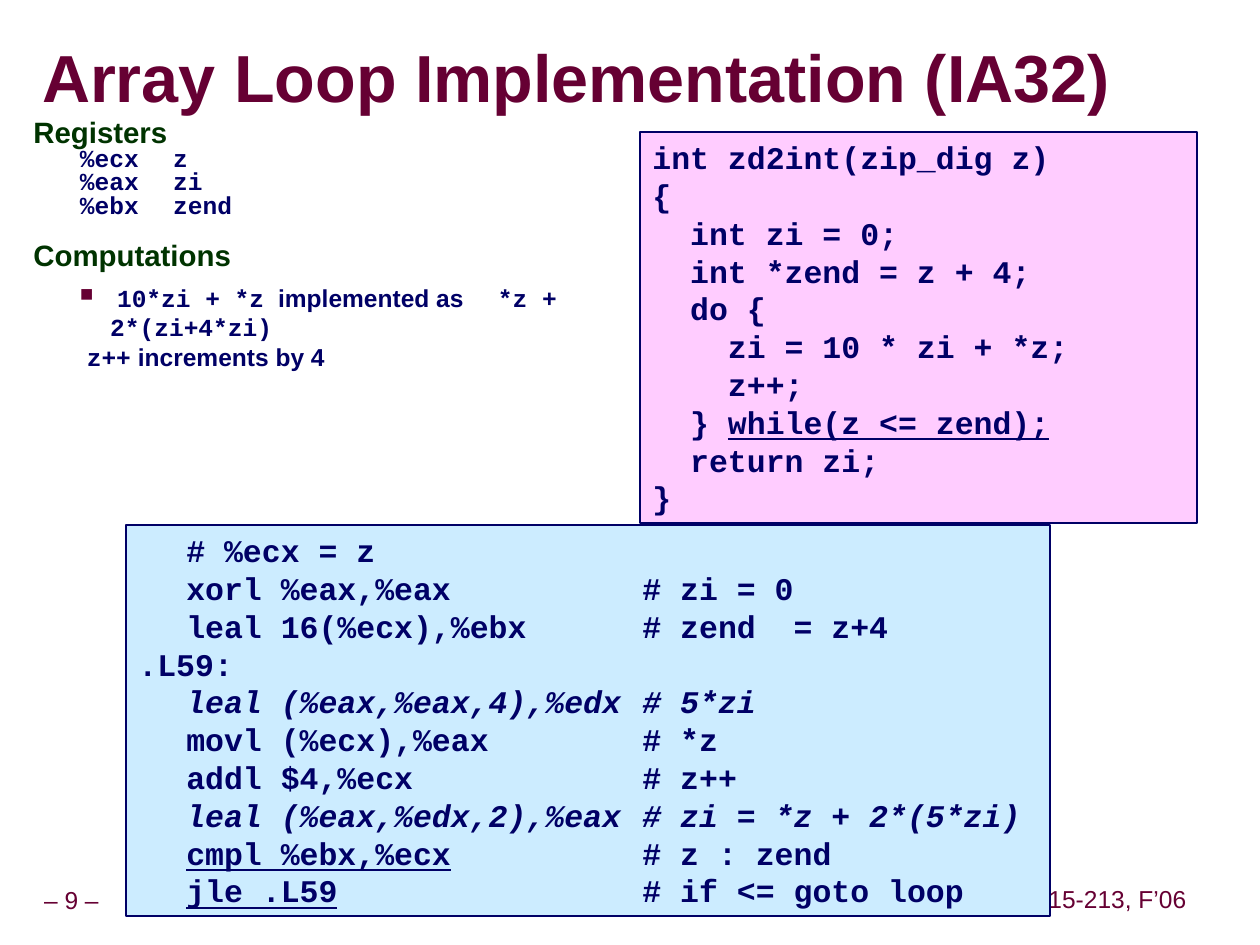
from lxml import etree
from pptx import Presentation
from pptx import util as u
from pptx.dml.color import RGBColor
from pptx.enum import shapes, text
from pptx.oxml.ns import qn

MAROON = RGBColor(0x66, 0x00, 0x33)
GREEN = RGBColor(0x00, 0x33, 0x00)
NAVY = RGBColor(0x00, 0x00, 0x66)
SKY = RGBColor(0xCC, 0xEC, 0xFF)
PINK = RGBColor(0xFF, 0xCC, 0xFF)
WHITE = RGBColor(0xFF, 0xFF, 0xFF)
SANS, MONO = "Arial", "Courier New"
PX_PER_INCH = 126
INSET = 0.05

ASSEMBLY = [
    [("\t# %ecx = z", "")],
    [("\txorl %eax,%eax\t# zi = 0", "")],
    [("\tleal 16(%ecx),%ebx\t# zend  = z+4", "")],
    [(".L59:", "")],
    [("\tleal (%eax,%eax,4),%edx\t# 5*zi", "italic")],
    [("\tmovl (%ecx),%eax\t# *z", "")],
    [("\taddl $4,%ecx\t# z++", "")],
    [("\tleal (%eax,%edx,2),%eax\t# zi = *z + 2*(5*zi)", "italic")],
    [("\t", ""), ("cmpl %ebx,%ecx", "underline"), ("\t# z : zend", "")],
    [("\t", ""), ("jle .L59", "underline"), ("\t# if <= goto loop", "")],
]
C_CODE = [
    [("int zd2int(zip_dig z)", "")],
    [("{", "")],
    [("  int zi = 0;", "")],
    [("  int *zend = z + 4;", "")],
    [("  do {", "")],
    [("    zi = 10 * zi + *z;", "")],
    [("    z++;", "")],
    [("  } ", ""), ("while(z <= zend);", "underline")],
    [("  return zi;", "")],
    [("}", "")],
]
REGISTERS = [("%ecx", "z"), ("%eax", "zi"), ("%ebx", "zend")]


def px(length):
    return u.Emu(round(length * 914400 / PX_PER_INCH))


def place(shape, box):
    shape.left, shape.top, shape.width, shape.height = map(px, box)


def set_frame(frame, side, edge, anchor, wrap=True):
    frame.margin_left = frame.margin_right = u.Inches(side)
    frame.margin_top = frame.margin_bottom = u.Inches(edge)
    frame.vertical_anchor = anchor
    frame.word_wrap = wrap
    frame.auto_size = text.MSO_AUTO_SIZE.NONE


def add_run(paragraph, words, font, size, color, bold=True, style=""):
    run = paragraph.add_run()
    run.text = words
    run.font.name, run.font.size, run.font.bold = font, u.Pt(size), bold
    run.font.color.rgb = color
    run.font.italic = style == "italic"
    run.font.underline = style == "underline"
    return run


def next_paragraph(frame):
    """Return the empty first paragraph, or a new one after it."""
    first = frame.paragraphs[0]
    return frame.add_paragraph() if first.runs else first


def format_paragraph(paragraph, line=1.0, before=0, indent=None, bullet=False, tabs=()):
    """Set spacing, hanging indent, bullet and tab stops (inches)."""
    paragraph.alignment = text.PP_ALIGN.LEFT
    paragraph.line_spacing = line
    paragraph.space_before = u.Pt(before)
    properties = paragraph._p.get_or_add_pPr()
    if indent:
        properties.set("marL", str(u.Inches(indent)))
        properties.set("indent", str(u.Inches(-0.24)))
    if bullet:
        color = etree.SubElement(properties, qn("a:buClr"))
        etree.SubElement(color, qn("a:srgbClr"), val=str(MAROON))
        etree.SubElement(properties, qn("a:buSzPct"), val="75000")
        etree.SubElement(properties, qn("a:buChar"), char="■")
    else:
        etree.SubElement(properties, qn("a:buNone"))
    if tabs:
        stops = etree.SubElement(properties, qn("a:tabLst"))
        for stop in tabs:
            etree.SubElement(stops, qn("a:tab"), pos=str(u.Inches(stop)), algn="l")


def add_title(slide, box):
    title = slide.shapes.title
    place(title, box)
    set_frame(title.text_frame, 0, 0, text.MSO_ANCHOR.MIDDLE)
    paragraph = title.text_frame.paragraphs[0]
    format_paragraph(paragraph, line=0.87)
    run = add_run(paragraph, "Array Loop Implementation (IA32)", SANS, 38, MAROON)
    effects = etree.Element(qn("a:effectLst"))
    shadow = etree.SubElement(effects, qn("a:outerShdw"), dist="50800", dir="2700000")
    etree.SubElement(shadow, qn("a:srgbClr"), val="969696")
    run.font._element.find(qn("a:solidFill")).addnext(effects)


def add_footer(slide, box, words):
    footer = slide.shapes.add_textbox(*map(px, box))
    set_frame(footer.text_frame, INSET, INSET, text.MSO_ANCHOR.MIDDLE, wrap=False)
    paragraph = footer.text_frame.paragraphs[0]
    paragraph.alignment = text.PP_ALIGN.CENTER
    paragraph.line_spacing = 0.9
    add_run(paragraph, words, SANS, 14, MAROON, bold=False)


def add_notes_column(slide, box):
    """Register table and computation remarks at the left."""
    frame = slide.shapes.add_textbox(*map(px, box)).text_frame
    set_frame(frame, 0.1, INSET, text.MSO_ANCHOR.TOP)
    tabs = (0, 1.25, 2, 3, 4, 5, 6, 7)

    def heading(words, before):
        paragraph = next_paragraph(frame)
        format_paragraph(paragraph, 0.75, before, 0.24, tabs=tabs)
        add_run(paragraph, words, SANS, 16.8, GREEN)

    def item(runs, line=1.0, before=0, bullet=False):
        paragraph = next_paragraph(frame)
        format_paragraph(paragraph, line, before, 0.61, bullet, tabs[bullet:])
        for words, font in runs:
            add_run(paragraph, words, font, 14, NAVY, bold=bool(words.strip()))

    heading("Registers", 0)
    for register, variable in REGISTERS:
        item([(f"{register}\t{variable}", MONO)], line=0.8)
    heading("Computations", 15)
    item([(" ", SANS), ("10*zi + *z", MONO), ("  implemented as     ", SANS),
          ("*z + 2*(zi+4*zi)", MONO)], before=6.2, bullet=True)
    item([(" ", SANS), ("z++", MONO), (" increments by 4", SANS)])


def add_code_panel(slide, box, fill, lines, tabs=()):
    panel = slide.shapes.add_shape(shapes.MSO_SHAPE.RECTANGLE, *map(px, box))
    panel.shadow.inherit = False
    panel.fill.solid()
    panel.fill.fore_color.rgb = fill
    panel.line.color.rgb = NAVY
    panel.line.width = u.Pt(1)
    set_frame(panel.text_frame, 0.1, INSET, text.MSO_ANCHOR.TOP)
    for line in lines:
        paragraph = next_paragraph(panel.text_frame)
        format_paragraph(paragraph, tabs=tabs)
        for words, style in line:
            add_run(paragraph, words, MONO, 18, NAVY, style=style)


def main():
    presentation = Presentation()
    presentation.slide_width, presentation.slide_height = px(1260), px(945)
    slide = presentation.slides.add_slide(presentation.slide_layouts[5])
    slide.background.fill.solid()
    slide.background.fill.fore_color.rgb = WHITE
    add_footer(slide, (-11, 882, 165, 39), "– 9 –")
    add_footer(slide, (1042, 881, 151, 39), "15-213, F’06")
    add_title(slide, (42, 42, 1155, 79))
    add_notes_column(slide, (21, 116, 609, 300))
    add_code_panel(slide, (126, 525, 924, 391), SKY, ASSEMBLY, tabs=(0, 0.38, 4))
    add_code_panel(slide, (640, 132, 557, 391), PINK, C_CODE)
    presentation.save("out.pptx")


if __name__ == "__main__":
    main()
